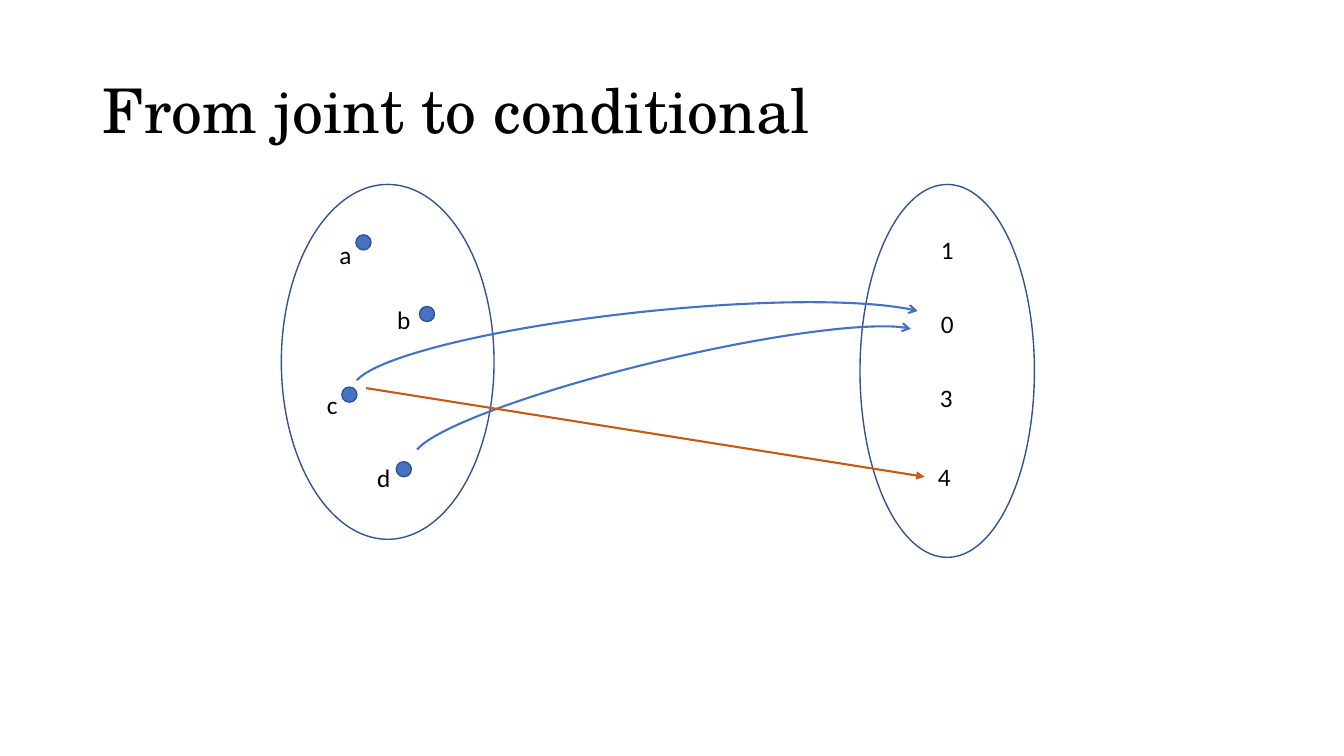
from lxml import etree
from pptx import Presentation
from pptx import util as u
from pptx.dml.color import RGBColor
from pptx.enum import shapes, text
from pptx.oxml.ns import qn

PX = u.Inches(1) // 100  # 100 px to the inch
THEME = {
    "ink": "000000", "dot": "4472C4", "edge": "325491", "warm": "C55A11",
    "serif": "TeX Gyre Schola", "sans": "Calibri",
    "title": 44, "label": 18, "thin": 1, "thick": 1.5,
}


def write(home, words, box, font="sans", size="label", align="CENTER",
          anchor="TOP", fit="SHAPE_TO_FIT_TEXT", space=1.0):
    frame = home.add_textbox(*[n * PX for n in box]).text_frame
    frame.word_wrap = True
    frame.auto_size = getattr(text.MSO_AUTO_SIZE, fit)
    frame.vertical_anchor = getattr(text.MSO_ANCHOR, anchor)
    para = frame.paragraphs[0]
    para.alignment = getattr(text.PP_ALIGN, align)
    para.line_spacing = space
    run = para.add_run()
    run.text = words
    run.font.name = THEME[font]
    run.font.size = u.Pt(THEME[size])
    run.font.color.rgb = RGBColor.from_string(THEME["ink"])


def draw(home, kind, box, fill=None, color="edge", width="thin", head=None):
    shape = home.add_shape(kind, *[n * PX for n in box])
    shape.shadow.inherit = False
    if fill:
        shape.fill.solid()
        shape.fill.fore_color.rgb = RGBColor.from_string(THEME[fill])
    else:
        shape.fill.background()
    shape.line.color.rgb = RGBColor.from_string(THEME[color])
    shape.line.width = u.Pt(THEME[width])
    if head:
        etree.SubElement(shape.line._get_or_add_ln(), qn("a:tailEnd"), type=head)
    return shape


deck = Presentation()
deck.slide_width, deck.slide_height = 1333 * PX, 750 * PX
slide = deck.slides.add_slide(deck.slide_layouts[6])
board = slide.shapes
OVAL, ARC = shapes.MSO_SHAPE.OVAL, shapes.MSO_SHAPE.ARC

write(board, "From joint to conditional", (92, 40, 1150, 145), font="serif",
      size="title", align="LEFT", anchor="MIDDLE", fit="NONE", space=0.9)

# The two sets
for box in [(279, 183, 211, 352), (853, 183, 173, 370)]:
    draw(board, OVAL, box)

# Members of the left set: name, dot corner, label corner
for name, dot, label in [
    ("a", (353, 233), (323, 233)),
    ("b", (416, 304), (381, 297)),
    ("c", (339, 384), (310, 381)),
    ("d", (393, 458), (361, 454)),
]:
    group = board.add_group_shape().shapes
    draw(group, OVAL, (*dot, 15, 15), fill="dot")
    write(group, name, (*label, 39, 40))

# Members of the right set
for name, left, top in [("1", 920, 228), ("0", 920, 301),
                        ("3", 919, 374), ("4", 917, 453)]:
    write(board, name, (left, top, 39, 40))

# Curved arrows to 0
for box, turn, end in [((349, 309, 588, 91), 354, 213.74),
                       ((404, 357, 518, 73), 346.6, 214.66)]:
    arc = draw(board, ARC, box, color="dot", width="thick", head="arrow")
    arc.rotation = turn
    arc.adjustments[0], arc.adjustments[1] = 108.9, end

# Straight arrow from c to 4
link = board.add_connector(shapes.MSO_CONNECTOR.STRAIGHT,
                           *[n * PX for n in (363, 385, 917, 473)])
link.line.color.rgb = RGBColor.from_string(THEME["warm"])
link.line.width = u.Pt(THEME["thick"])
etree.SubElement(link.line._get_or_add_ln(), qn("a:tailEnd"), type="triangle")
etree.SubElement(link._element.spPr, qn("a:effectLst"))

deck.save("out.pptx")
